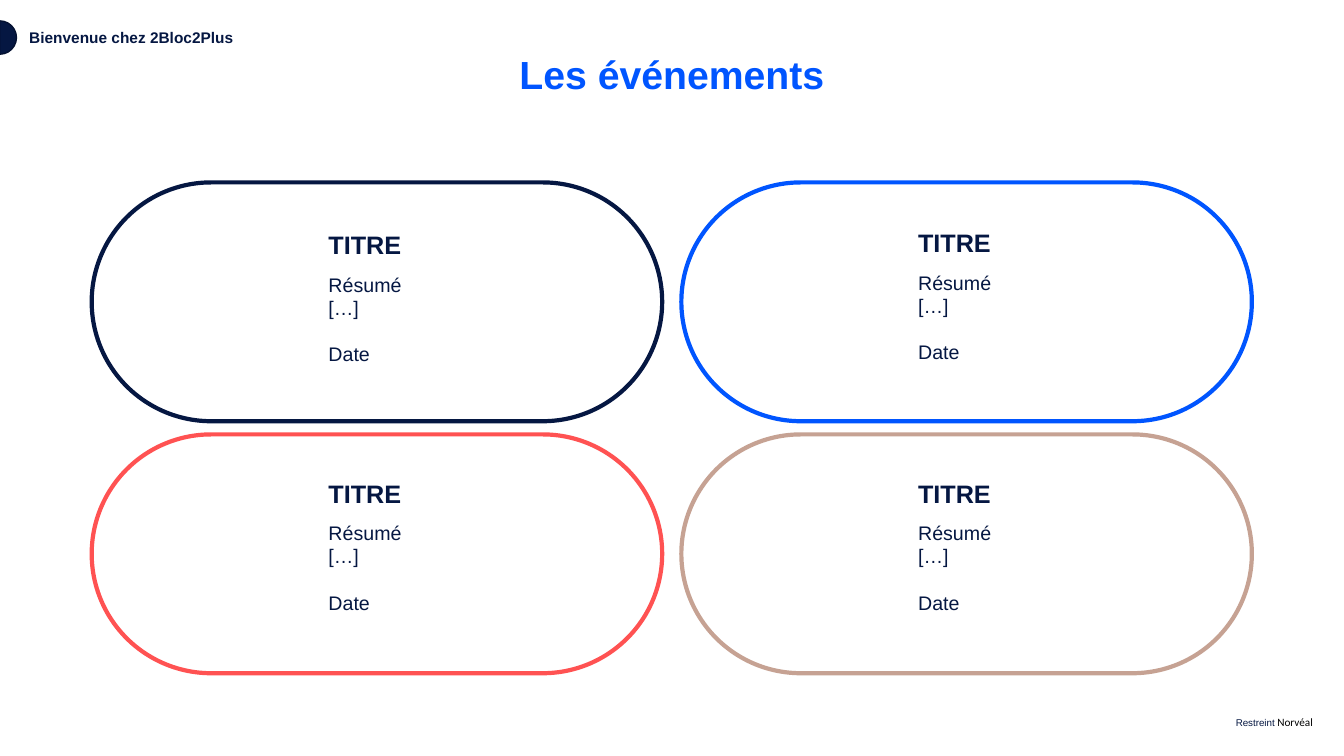
from dataclasses import dataclass

from pptx import Presentation
from pptx.dml.color import RGBColor
from pptx.enum.shapes import MSO_SHAPE
from pptx.enum.text import PP_ALIGN
from pptx.util import Pt

NAVY = RGBColor(0x05, 0x17, 0x42)
DARK_NAVY = RGBColor(0x04, 0x11, 0x31)
BLUE = RGBColor(0x00, 0x55, 0xFF)
CORAL = RGBColor(0xFF, 0x52, 0x52)
SAND = RGBColor(0xC6, 0xA2, 0x93)
BLACK = RGBColor(0, 0, 0)

CARD_LEFT, CARD_TOP = 65.5, 130.3
CARD_WIDTH, CARD_HEIGHT = 407.5, 170.6
COLUMN_STEP, ROW_STEP = 421.2, 180
TEXT_INDENT, TEXT_WIDTH = 162, 207.4
SUMMARY_DROP = 30.6
BLANK_LINE = 16.1


@dataclass
class Event:
    column: int
    row: int
    color: RGBColor
    text_drop: float


@dataclass
class Line:
    text: str
    size: float
    bold: bool = False
    color: RGBColor = NAVY
    space_before: float = 0


EVENTS = [
    Event(0, 0, NAVY, 30.2),
    Event(0, 1, CORAL, 27.6),
    Event(1, 0, BLUE, 28.8),
    Event(1, 1, SAND, 27.6),
]
HEADING = [Line("TITRE", 18, bold=True)]
SUMMARY = [
    Line("Résumé", 14),
    Line("[…]", 14),
    Line("Date", 14, space_before=BLANK_LINE),
]


def add_text(s, left: float, top: float, width: float, height: float,
             lines: list[Line], inset_x: float = 7.2, inset_y: float = 3.6):
    """Add a text box with one paragraph per line and return its text frame."""
    tf = s.shapes.add_textbox(Pt(left), Pt(top), Pt(width), Pt(height)).text_frame
    tf.word_wrap = True
    tf.margin_left = tf.margin_right = Pt(inset_x)
    tf.margin_top = tf.margin_bottom = Pt(inset_y)
    for i, line in enumerate(lines):
        p = tf.add_paragraph() if i else tf.paragraphs[0]
        p.add_run().text = line.text
        p.font.name = "Arial"
        p.font.size = Pt(line.size)
        p.font.bold = line.bold
        p.font.color.rgb = line.color
        if line.space_before:
            p.space_before = Pt(line.space_before)
    return tf


def add_outlined(s, kind: MSO_SHAPE, left: float, top: float, width: float,
                 height: float, color: RGBColor, weight: float):
    sp = s.shapes.add_shape(kind, Pt(left), Pt(top), Pt(width), Pt(height))
    sp.shadow.inherit = False
    sp.fill.background()
    sp.line.color.rgb = color
    sp.line.width = Pt(weight)
    return sp


def add_card(s, event: Event) -> None:
    left = CARD_LEFT + event.column * COLUMN_STEP
    top = CARD_TOP + event.row * ROW_STEP
    sp = add_outlined(s, MSO_SHAPE.ROUNDED_RECTANGLE, left, top,
                      CARD_WIDTH, CARD_HEIGHT, event.color, 3)
    sp.adjustments[0] = 0.5
    text_left, text_top = left + TEXT_INDENT, top + event.text_drop
    add_text(s, text_left, text_top, TEXT_WIDTH, 28.8, HEADING)
    add_text(s, text_left, text_top + SUMMARY_DROP, TEXT_WIDTH, 74.9, SUMMARY)


def add_footer(s) -> None:
    tf = add_text(s, 882.7, 511.2, 59, 9.4, [Line("Restreint", 7)], 0, 0)
    tf.word_wrap = False
    r = tf.paragraphs[0].add_run()
    r.text = " Norvéal"
    r.font.name = "Calibri"
    r.font.size = Pt(8)
    r.font.color.rgb = BLACK


def add_header(s) -> None:
    marker = add_outlined(s, MSO_SHAPE.CHORD, -12.1, 14.9, 23.8, 23.8, DARK_NAVY, 1)
    marker.fill.solid()
    marker.fill.fore_color.rgb = NAVY
    marker.adjustments[0] = 53.95
    marker.adjustments[1] = 162
    marker.rotation = 180
    add_text(s, 18, 20.2, 175.7, 13.7,
             [Line("Bienvenue chez 2Bloc2Plus", 11, bold=True)], 2.9, 0)
    tf = add_text(s, 59, 39.6, 841.7, 30.2,
                  [Line("Les événements", 28, bold=True, color=BLUE)], 2.9, 0)
    p = tf.paragraphs[0]
    p.alignment = PP_ALIGN.CENTER
    p.line_spacing = 0.9


def main() -> None:
    prs = Presentation()
    prs.slide_width, prs.slide_height = Pt(960), Pt(540)
    s = prs.slides.add_slide(prs.slide_layouts[6])
    add_footer(s)
    add_header(s)
    for event in EVENTS:
        add_card(s, event)
    prs.save("out.pptx")


if __name__ == "__main__":
    main()
